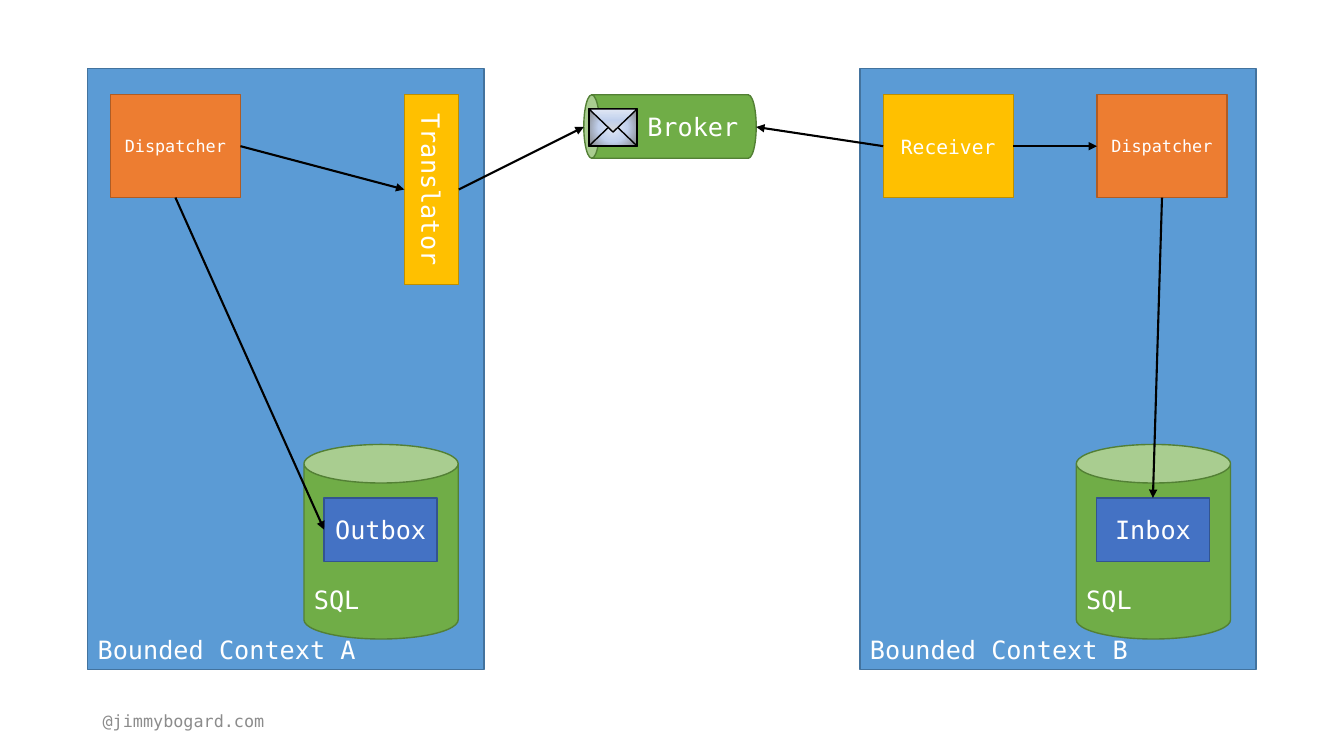
from lxml import etree
from pptx import Presentation
from pptx.dml.color import RGBColor
from pptx.enum.shapes import MSO_CONNECTOR, MSO_SHAPE
from pptx.enum.text import MSO_ANCHOR, PP_ALIGN
from pptx.oxml.ns import qn
from pptx.util import Inches, Pt

RECTANGLE, CAN, TRIANGLE = MSO_SHAPE.RECTANGLE, MSO_SHAPE.CAN, MSO_SHAPE.ISOSCELES_TRIANGLE
STRAIGHT = MSO_CONNECTOR.STRAIGHT
LEFT, CENTER, RIGHT = PP_ALIGN.LEFT, PP_ALIGN.CENTER, PP_ALIGN.RIGHT
MIDDLE, BOTTOM = MSO_ANCHOR.MIDDLE, MSO_ANCHOR.BOTTOM
TOP_SIDE, LEFT_SIDE, BOTTOM_SIDE, RIGHT_SIDE = range(4)

FONT = "DejaVu Sans Mono"
CELL = Inches(0.1)
COLORS = {
    "blue": "5B9BD5", "blue_edge": "43739E",
    "orange": "ED7D31", "orange_edge": "AF5C24",
    "green": "70AD47", "green_edge": "538035",
    "indigo": "4472C4", "indigo_edge": "325491",
    "yellow": "FFC000", "yellow_edge": "BD8E00",
    "white": "FFFFFF", "black": "000000", "gray": "8C8C8C",
    "paper": "E1E8F5", "fold": "C2D1ED", "shade": "808080", "flap": "D9D9D9",
}
CONTEXT_TOP, CONTEXT_WIDTH, CONTEXT_HEIGHT = 6.8, 39.3, 59.6
STEP_TOP, STEP_WIDTH, STEP_HEIGHT = 9.4, 12.9, 10.2


def color(name):
    return RGBColor.from_string(COLORS[name])


def cells(*counts):
    return [round(count * CELL) for count in counts]


def write(shape, text, size, align=CENTER, anchor=MIDDLE, ink="white"):
    frame = shape.text_frame
    frame.word_wrap = True
    frame.vertical_anchor = anchor
    para = frame.paragraphs[0]
    para.text = text
    para.alignment = align
    para.font.name = FONT
    para.font.size = Pt(size)
    para.font.color.rgb = color(ink)


def turn_text(shape):
    shape.text_frame._txBody.bodyPr.set("vert", "vert")


def add_box(shapes, kind, area, edge, fill=None):
    box = shapes.add_shape(kind, *cells(*area))
    box.shadow.inherit = False
    box.line.color.rgb = color(edge)
    box.line.width = Pt(1)
    if fill:
        box.fill.solid()
        box.fill.fore_color.rgb = color(fill)
    else:
        box.fill.background()
    return box


def add_label_box(shapes, kind, area, hue, text, size=18, align=CENTER, anchor=MIDDLE):
    box = add_box(shapes, kind, area, hue + "_edge", hue)
    write(box, text, size, align, anchor)
    return box


def add_step(shapes, left, hue, text, size):
    area = (left, STEP_TOP, STEP_WIDTH, STEP_HEIGHT)
    return add_label_box(shapes, RECTANGLE, area, hue, text, size)


def add_context(shapes, left, name, store_name):
    area = (left, CONTEXT_TOP, CONTEXT_WIDTH, CONTEXT_HEIGHT)
    add_label_box(shapes, RECTANGLE, area, "blue", name, align=LEFT, anchor=BOTTOM)
    add_label_box(shapes, CAN, (left + 21.45, 44.1, 15.3, 19.3), "green", "SQL",
                  align=LEFT, anchor=BOTTOM)
    return add_label_box(shapes, RECTANGLE, (left + 23.45, 49.4, 11.2, 6.3), "indigo", store_name)


def add_arrow(shapes, source, source_side, target, target_side=None):
    end = target if target_side is None else (0, 0)
    arrow = shapes.add_connector(STRAIGHT, 0, 0, *cells(*end))
    arrow.begin_connect(source, source_side)
    if target_side is not None:
        arrow.end_connect(target, target_side)
    arrow.line.color.rgb = color("black")
    arrow.line.width = Pt(1.5)
    etree.SubElement(arrow.line._get_or_add_ln(), qn("a:tailEnd"), type="triangle")
    etree.SubElement(arrow._element.spPr, qn("a:effectLst"))


def set_gradient(shape, names, direction):
    gradient = etree.Element(qn("a:gradFill"), rotWithShape="1")
    stops = etree.SubElement(gradient, qn("a:gsLst"))
    for position, name in zip((0, 48000, 100000), names):
        stop = etree.SubElement(stops, qn("a:gs"), pos=str(position))
        etree.SubElement(stop, qn("a:srgbClr"), val=COLORS[name])
    if direction == "circle":
        spread = etree.SubElement(gradient, qn("a:path"), path="circle")
        etree.SubElement(spread, qn("a:fillToRect"), l="50000", t="50000", r="50000", b="50000")
    else:
        etree.SubElement(gradient, qn("a:lin"), ang=str(direction * 60000), scaled="0")
    properties = shape._element.spPr
    properties.replace(properties.find(qn("a:noFill")), gradient)


def add_envelope(shapes, left, top, width, height):
    parts = shapes.add_group_shape().shapes
    fold = 2.3
    paper = add_box(parts, RECTANGLE, (left, top, width, height), "black")
    set_gradient(paper, ("paper", "fold", "shade"), "circle")
    add_box(parts, TRIANGLE, (left, top + height - fold, width, fold), "black")
    flap = add_box(parts, TRIANGLE, (left, top, width, fold), "black")
    flap.rotation = 180
    set_gradient(flap, ("paper", "fold", "flap"), 270)


def add_broker(shapes):
    broker = add_label_box(shapes, CAN, (63.3, 4, 6.3, 17.1), "green", "Broker", align=RIGHT)
    broker.rotation = 270
    turn_text(broker)
    add_envelope(shapes, 58.4, 10.8, 4.8, 3.7)
    return (57.9, 12.6), (75, 12.6)


def main():
    deck = Presentation()
    deck.slide_width, deck.slide_height = Inches(13.33), Inches(7.5)
    page = deck.slides.add_slide(deck.slide_layouts[6])
    shapes = page.shapes

    outbox = add_context(shapes, 8.7, "Bounded Context A", "Outbox")
    sender = add_step(shapes, 10.95, "orange", "Dispatcher", 12)
    translator = add_label_box(shapes, RECTANGLE, (40.1, STEP_TOP, 5.4, 18.8),
                               "yellow", "Translator")
    turn_text(translator)

    inbox = add_context(shapes, 85.3, "Bounded Context B", "Inbox")
    receiver = add_step(shapes, 87.6, "yellow", "Receiver", 14)
    handler = add_step(shapes, 108.8, "orange", "Dispatcher", 12)

    broker_left, broker_right = add_broker(shapes)
    add_arrow(shapes, sender, BOTTOM_SIDE, outbox, LEFT_SIDE)
    add_arrow(shapes, sender, RIGHT_SIDE, translator, LEFT_SIDE)
    add_arrow(shapes, translator, RIGHT_SIDE, broker_left)
    add_arrow(shapes, receiver, LEFT_SIDE, broker_right)
    add_arrow(shapes, receiver, RIGHT_SIDE, handler, LEFT_SIDE)
    add_arrow(shapes, handler, BOTTOM_SIDE, inbox, TOP_SIDE)

    footer = shapes.add_textbox(*cells(9.2, 69.5, 30, 4))
    write(footer, "@jimmybogard.com", 12, LEFT, MIDDLE, "gray")
    deck.save("out.pptx")


if __name__ == "__main__":
    main()
